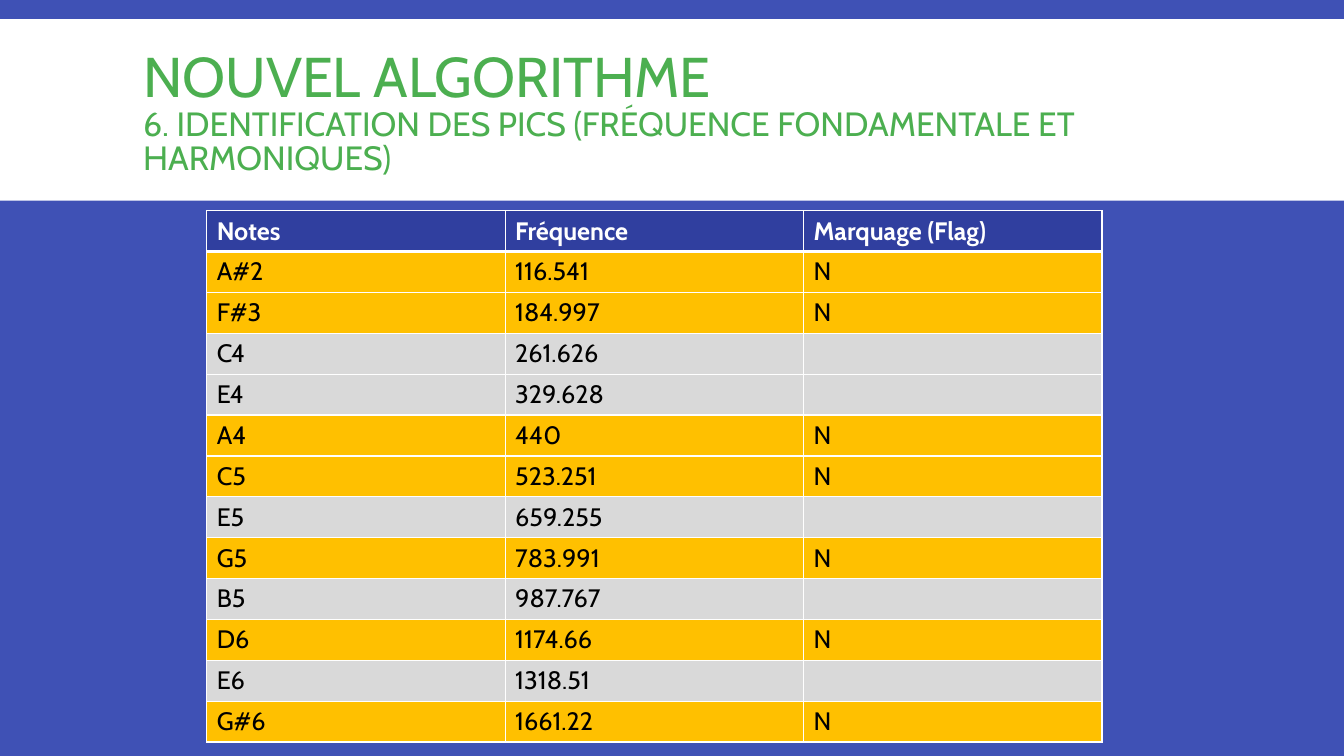
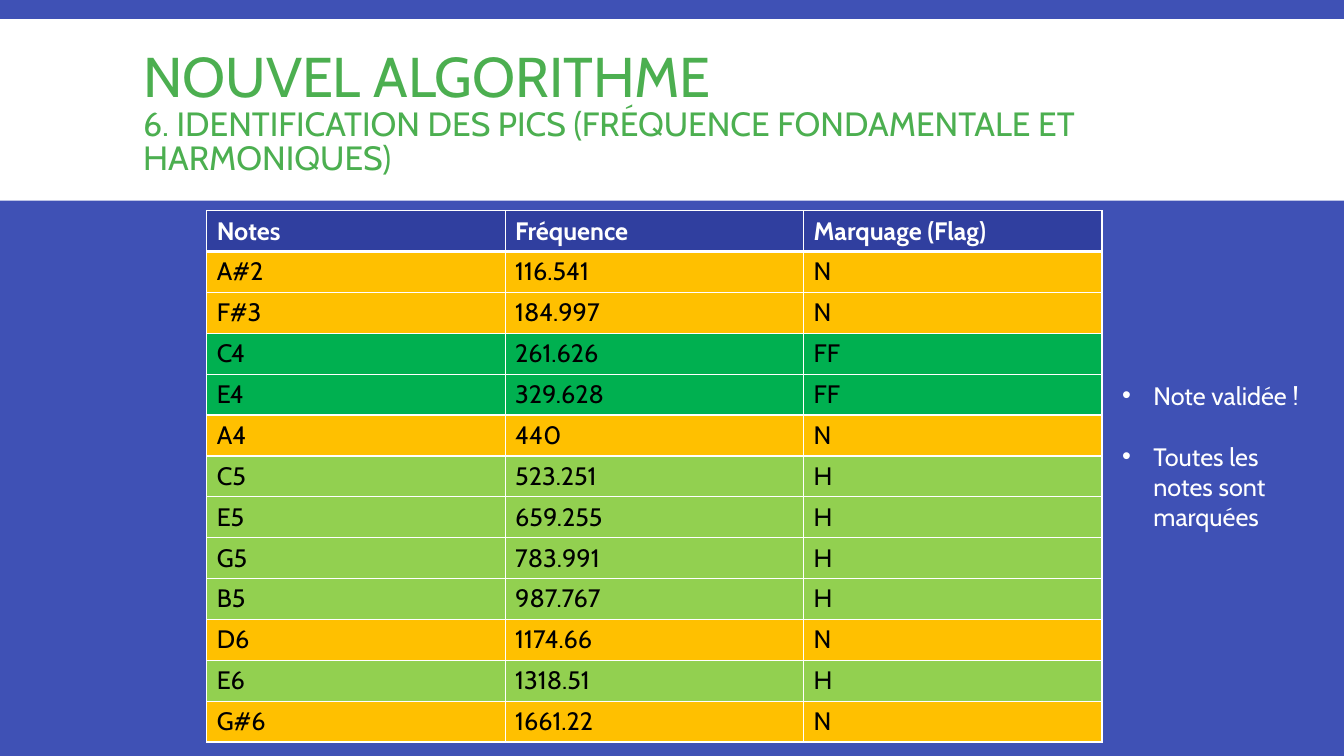
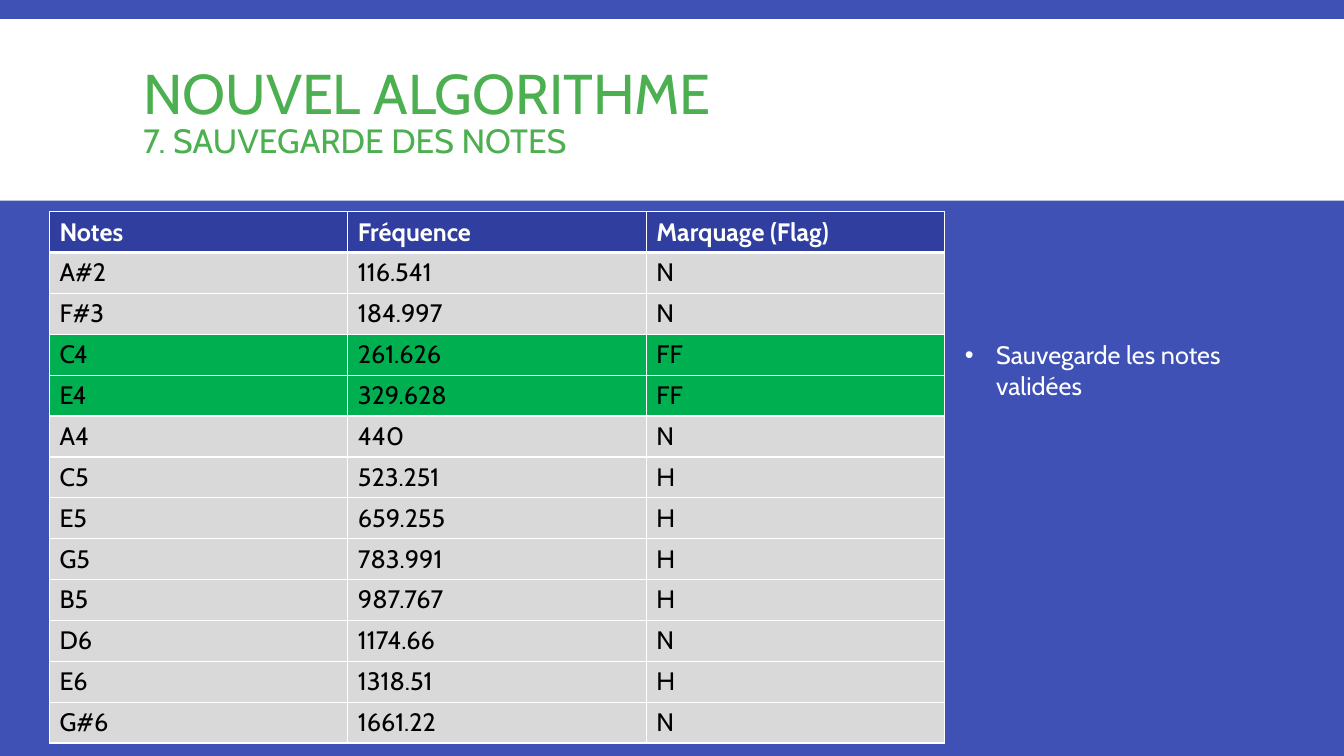
from dataclasses import dataclass

from lxml.etree import SubElement
from pptx import Presentation
from pptx.dml.color import RGBColor
from pptx.enum.shapes import MSO_SHAPE
from pptx.enum.text import MSO_ANCHOR, MSO_AUTO_SIZE
from pptx.oxml.ns import qn
from pptx.util import Inches, Pt


@dataclass(frozen=True)
class Theme:
    font: str = "Cabin"
    background: str = "3F51B5"
    title: str = "4CAF50"
    header: str = "303F9F"
    white: str = "FFFFFF"
    black: str = "000000"
    amber: str = "FFC000"
    grey: str = "D9D9D9"
    green: str = "00B050"
    lime: str = "92D050"
    title_size: int = 40
    subtitle_size: int = 24
    text_size: int = 18
    thin: int = 1
    thick: int = 3


T = Theme()

TITLE = "NOUVEL ALGORITHME"
PEAKS = "6. IDENTIFICATION DES PICS (FRÉQUENCE FONDAMENTALE ET HARMONIQUES)"
HEADERS = ("Notes", "Fréquence", "Marquage (Flag)")
NOTES = (
    ("A#2", "116.541"), ("F#3", "184.997"), ("C4", "261.626"), ("E4", "329.628"),
    ("A4", "440"), ("C5", "523.251"), ("E5", "659.255"), ("G5", "783.991"),
    ("B5", "987.767"), ("D6", "1174.66"), ("E6", "1318.51"), ("G#6", "1661.22"),
)
FIRST_FLAGS = ("N", "N", "", "", "N", "N", "", "N", "", "N", "", "N")
FINAL_FLAGS = ("N", "N", "FF", "FF", "N", "H", "H", "H", "H", "N", "H", "N")

SLIDES = (
    dict(subtitle=PEAKS, flags=FIRST_FLAGS, fills={"N": T.amber},
         table_at=(2.05, 2.09), remarks=(), remarks_at=None),
    dict(subtitle=PEAKS, flags=FINAL_FLAGS,
         fills={"N": T.amber, "FF": T.green, "H": T.lime},
         table_at=(2.05, 2.09),
         remarks=("Note validée !", "Toutes les notes sont marquées"),
         remarks_at=(11.03, 3.72, 2.16, 1.62)),
    dict(subtitle="7. SAUVEGARDE DES NOTES", flags=FINAL_FLAGS,
         fills={"FF": T.green}, table_at=(0.49, 2.1),
         remarks=("Sauvegarde les notes validées",),
         remarks_at=(9.47, 3.32, 3.63, 0.4)),
)

SLIDE_SIZE = (Inches(13.33), Inches(7.5))
TABLE_SIZE = (Inches(8.88), Inches(5.27))
TITLE_AND_CONTENT, TITLE_ONLY = 1, 5


def rgb(color):
    return RGBColor.from_string(color)


def write(p, text, size=T.text_size, color=T.white, bold=False):
    r = p.add_run()
    r.text = text
    r.font.name = T.font
    r.font.size = Pt(size)
    r.font.bold = bold
    r.font.color.rgb = rgb(color)


def place(shape, left, top, width, height):
    shape.left, shape.top = Inches(left), Inches(top)
    shape.width, shape.height = Inches(width), Inches(height)


def style_master(master):
    fill = master.background.fill
    fill.solid()
    fill.fore_color.rgb = rgb(T.background)
    title = master.placeholders[0]
    place(title, 1.32, 0.31, 11.87, 1.65)
    title.text_frame.vertical_anchor = MSO_ANCHOR.MIDDLE
    title.text_frame.auto_size = MSO_AUTO_SIZE.NONE
    level = master.element.find(f".//{qn('p:titleStyle')}/{qn('a:lvl1pPr')}")
    level.set("algn", "l")
    level.find(qn("a:defRPr")).set("sz", str(T.title_size * 100))


def add_band(s):
    """Draw the title band behind everything else on the slide."""
    band = s.shapes.add_shape(MSO_SHAPE.RECTANGLE, 0, Inches(0.19),
                              SLIDE_SIZE[0], Inches(1.8))
    band.shadow.inherit = False
    band.fill.solid()
    band.fill.fore_color.rgb = rgb(T.white)
    band.line.fill.background()
    s.shapes.element.insert(2, band.element)


def add_title(s, subtitle):
    p = s.shapes.title.text_frame.paragraphs[0]
    p.line_spacing = 0.85
    write(p, TITLE, size=T.title_size, color=T.title)
    p.add_line_break()
    write(p, subtitle, size=T.subtitle_size, color=T.title)


def add_borders(cell, top, bottom):
    tcPr = cell._tc.get_or_add_tcPr()
    for side, width in (("L", T.thin), ("R", T.thin), ("T", top), ("B", bottom)):
        ln = SubElement(tcPr, qn(f"a:ln{side}"), w=str(Pt(width)))
        SubElement(SubElement(ln, qn("a:solidFill")), qn("a:srgbClr"), val=T.white)


def add_notes_table(s, at, flags, fills):
    rows = [HEADERS] + [(*note, flag) for note, flag in zip(NOTES, flags)]
    width, height = TABLE_SIZE
    table = s.shapes.add_table(len(rows), len(HEADERS), Inches(at[0]), Inches(at[1]),
                               width, height).table
    table.horz_banding = False
    for i, row in enumerate(rows):
        table.rows[i].height = height // len(rows)
        is_header = i == 0
        fill = T.header if is_header else fills.get(row[-1], T.grey)
        for j, text in enumerate(row):
            cell = table.cell(i, j)
            add_borders(cell, top=T.thick if i == 1 else T.thin,
                        bottom=T.thick if is_header else T.thin)
            cell.fill.solid()
            cell.fill.fore_color.rgb = rgb(fill)
            if text:
                write(cell.text_frame.paragraphs[0], text, bold=is_header,
                      color=T.white if is_header else T.black)


def add_remarks(s, remarks, at):
    body = s.placeholders[1]
    place(body, *at)
    tf = body.text_frame
    tf.word_wrap = True
    tf.auto_size = MSO_AUTO_SIZE.NONE
    for i, text in enumerate(remarks):
        p = tf.add_paragraph() if i else tf.paragraphs[0]
        p.space_before = Pt(22 if i else 0)
        pPr = p._p.get_or_add_pPr()
        pPr.set("marL", str(Inches(0.31)))
        pPr.set("indent", str(-Inches(0.31)))
        SubElement(pPr, qn("a:buChar"), char="•")
        write(p, text)


def main():
    prs = Presentation()
    prs.slide_width, prs.slide_height = SLIDE_SIZE
    style_master(prs.slide_master)
    for content in SLIDES:
        layout = TITLE_AND_CONTENT if content["remarks"] else TITLE_ONLY
        s = prs.slides.add_slide(prs.slide_layouts[layout])
        add_band(s)
        add_title(s, content["subtitle"])
        add_notes_table(s, content["table_at"], content["flags"], content["fills"])
        if content["remarks"]:
            add_remarks(s, content["remarks"], content["remarks_at"])
    prs.save("out.pptx")


if __name__ == "__main__":
    main()
